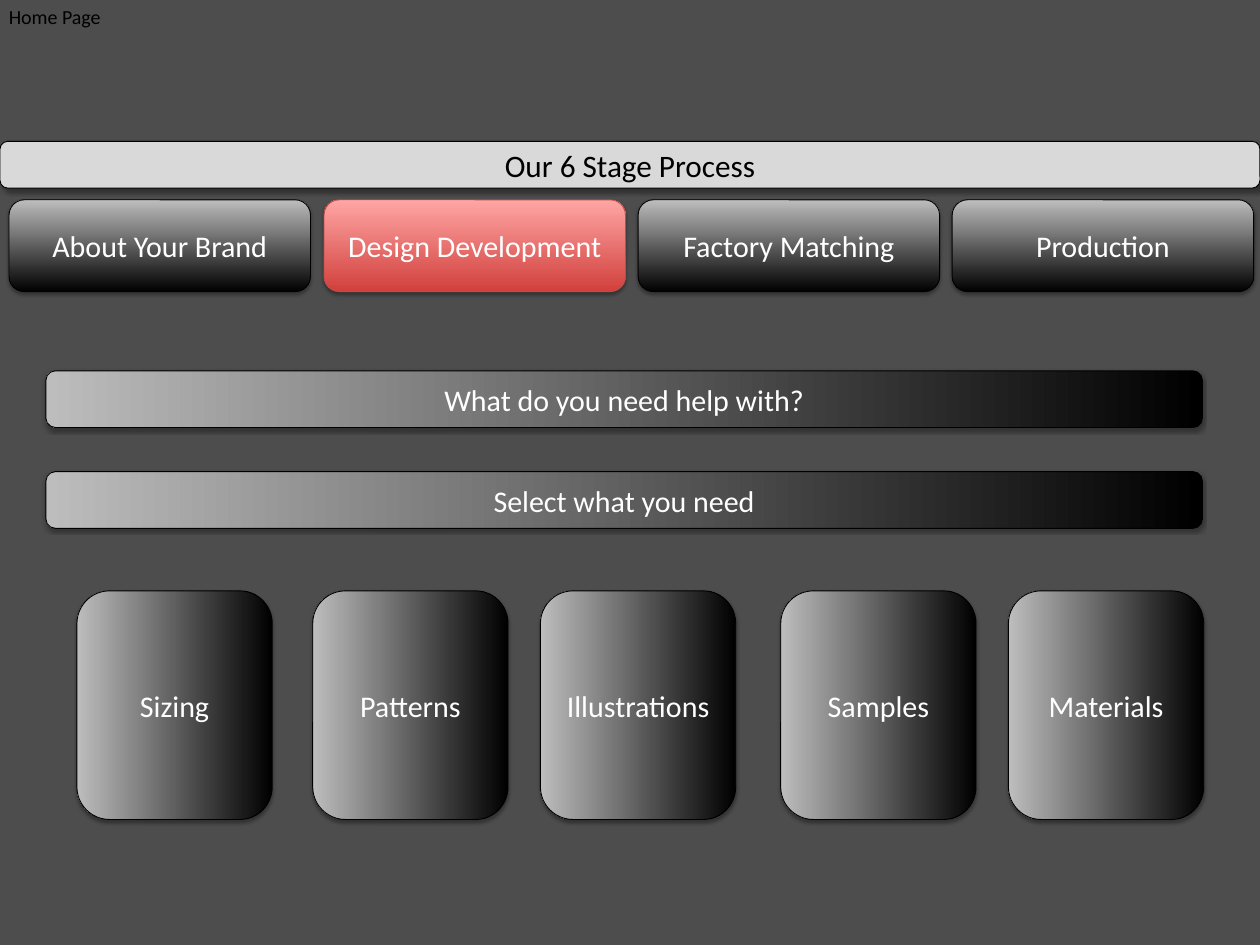
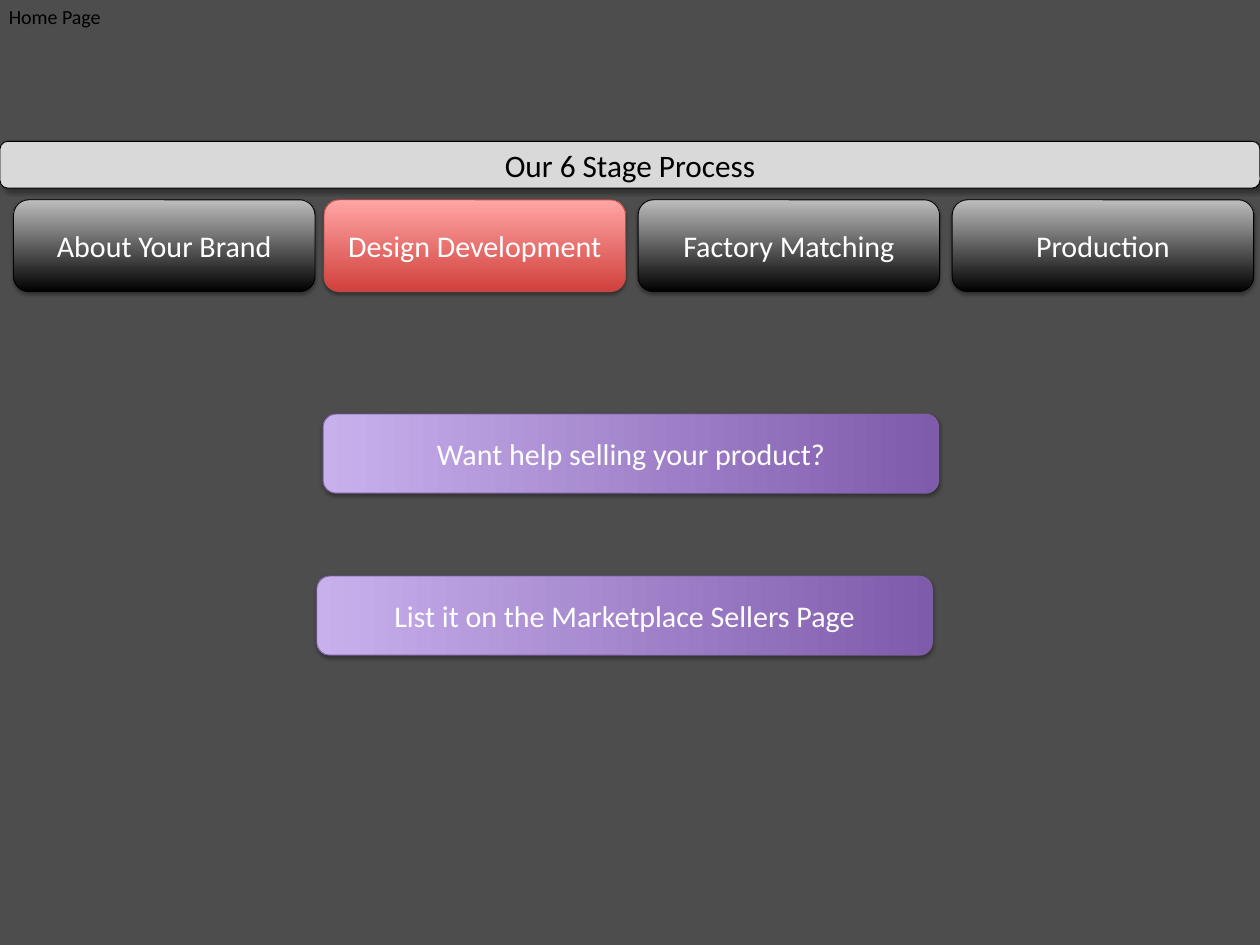
from pptx import Presentation
from pptx.dml.color import RGBColor
from pptx.enum import shapes, text
from pptx.oxml import parse_xml, ns
from pptx.util import Inches, Pt

FONT = "Calibri"
BACK = "4D4D4D"
BLACK = "000000"
WHITE = "FFFFFF"
BAND = (["D9D9D9"], BLACK)
GREY = ([BLACK, "BDBDBD"], BLACK)
RED = (["D1403C", "FFA6A5"], "BF4C48")
LILAC = (["7F5BAB", "C8B0ED"], "7D60A0")
SOFT = (3.1, 1.8, 90, 35)
DEEP = (4, 3, 45, 40)


def paint(hue):
    return RGBColor.from_string(hue)


def button(slide, words, at, look, turn=False, size=24, ink=WHITE, shade=SOFT):
    tones, edge = look
    box = slide.shapes.add_shape(
        shapes.MSO_SHAPE.ROUNDED_RECTANGLE, *[Inches(n) for n in at])
    if len(tones) == 1:
        box.fill.solid()
        box.fill.fore_color.rgb = paint(tones[0])
    else:
        box.fill.gradient()
        box.fill.gradient_angle = 90
        for stop, tone in zip(box.fill.gradient_stops, tones):
            stop.color.rgb = paint(tone)
    box.line.color.rgb = paint(edge)
    box.line.width = Pt(0.75)

    blur, gap, angle, alpha = shade
    box.shadow.inherit = False
    box._element.spPr.find(ns.qn("a:effectLst")).append(parse_xml(
        f'<a:outerShdw {ns.nsdecls("a")} blurRad="{Pt(blur)}" dist="{Pt(gap)}" '
        f'dir="{angle * 60000}" rotWithShape="0"><a:srgbClr val="{BLACK}">'
        f'<a:alpha val="{alpha * 1000}"/></a:srgbClr></a:outerShdw>'))

    frame = box.text_frame
    frame.word_wrap = True
    frame.vertical_anchor = text.MSO_ANCHOR.MIDDLE
    if turn:
        box.rotation = 270
        frame._txBody.bodyPr.set("vert", "vert")
    para = frame.paragraphs[0]
    para.alignment = text.PP_ALIGN.CENTER
    run = para.add_run()
    run.text = words
    run.font.name = FONT
    run.font.size = Pt(size)
    run.font.color.rgb = paint(ink)


deck = Presentation()
deck.slide_width = Inches(14)
deck.slide_height = Inches(10.5)
blank = deck.slide_layouts[6]

stages = ["About Your Brand", "Design Development", "Factory Matching", "Production"]
pages = []
for start in (0.1, 0.15):
    page = deck.slides.add_slide(blank)
    pages.append(page)
    page.background.fill.solid()
    page.background.fill.fore_color.rgb = paint(BACK)

    label = page.shapes.add_textbox(0, 0, Inches(5.64), Inches(0.37)).text_frame
    label.word_wrap = True
    label.auto_size = text.MSO_AUTO_SIZE.SHAPE_TO_FIT_TEXT
    run = label.paragraphs[0].add_run()
    run.text = "Home Page"
    run.font.name = FONT
    run.font.size = Pt(16)
    run.font.color.rgb = paint(BLACK)

    button(page, "Our 6 Stage Process", (0, 1.57, 14, 0.52), BAND,
           size=25, ink=BLACK, shade=DEEP)
    for i, stage in enumerate(stages):
        left = 0.11 + 3.49 * i if i else start
        button(page, stage, (left, 2.22, 3.35, 1.02), RED if i == 1 else GREY)

needs, sales = pages

for words, top in [("What do you need help with?", -1.99),
                   ("Select what you need", -0.87)]:
    button(needs, words, (6.62, top, 0.63, 12.85), GREY, turn=True)

for words, left in [("Sizing", 0.67), ("Patterns", 3.29), ("Illustrations", 5.82),
                    ("Samples", 8.49), ("Materials", 11.02)]:
    button(needs, words, (left, 6.75, 2.54, 2.17), GREY, turn=True)

for words, left, top in [("Want help selling your product?", 6.57, 1.62),
                         ("List it on the Marketplace Sellers Page", 6.5, 3.42)]:
    button(sales, words, (left, top, 0.88, 6.84), LILAC, turn=True)

deck.save("out.pptx")
